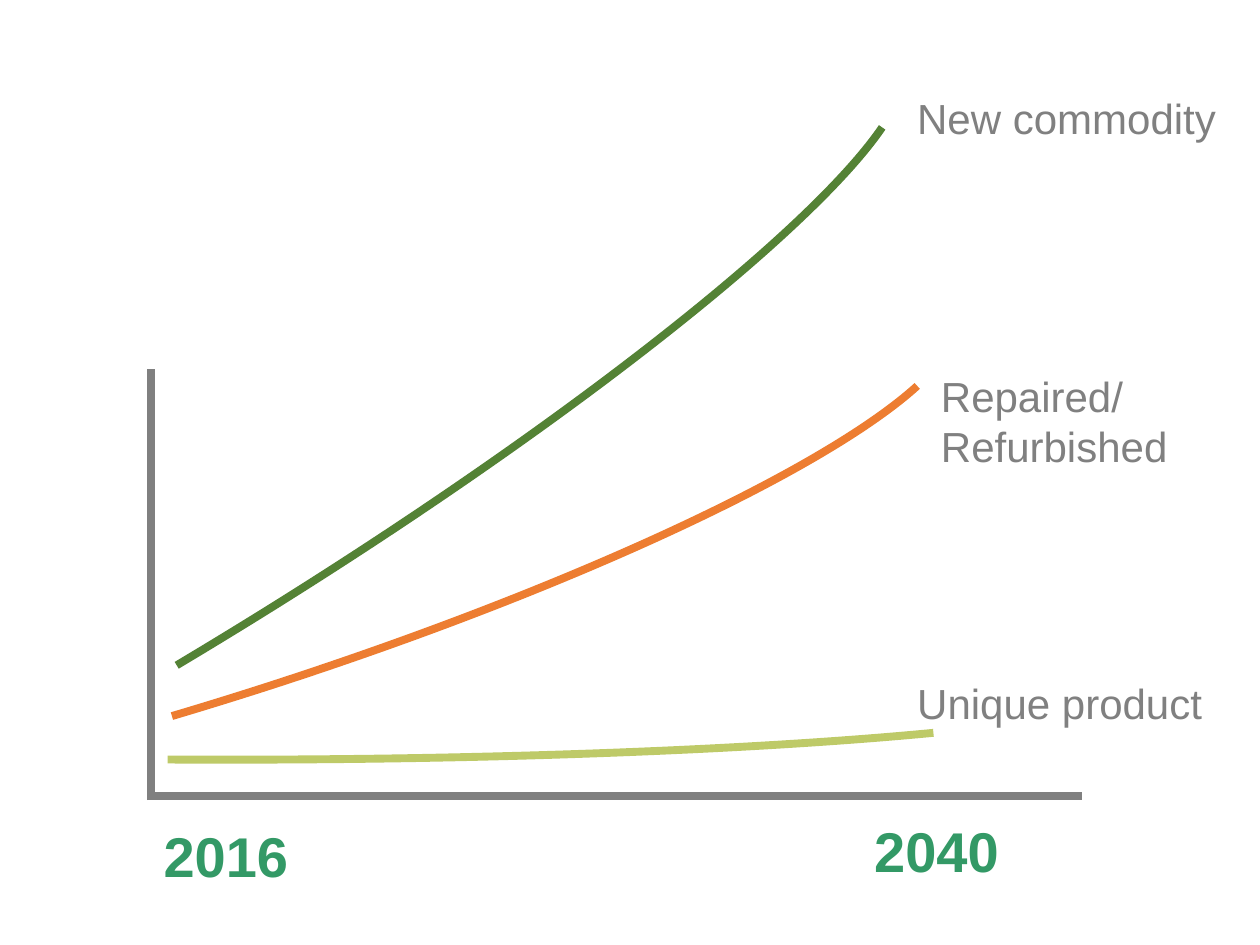
from collections import namedtuple

from pptx import Presentation
from pptx.dml.color import RGBColor
from pptx.enum.shapes import MSO_CONNECTOR as Connector, MSO_SHAPE as Shape
from pptx.enum.text import MSO_AUTO_SIZE as AutoSize
from pptx.oxml.ns import qn
from pptx.util import Pt
from lxml import etree

Box = namedtuple("Box", "left top width height")

GREY = "808080"
LINE_WIDTH = 4.5
CURVES = [
    (Box(-495.4, -111.6, 1077.1, 90.7), 180, 184.25, 306.73, "BECA68"),
    (Box(-393.1, -214.6, 871.9, 155.5), 162.1, 184.01, 306.73, "ED7D31"),
    (Box(-454.3, -239, 953.3, 146.9), 148.2, 183.07, 306.73, "548235"),
]
YEARS = [
    ("2016", Box(0, 10.8, 86.4, 46.1)),
    ("2040", Box(406.1, 7.9, 86.4, 46.1)),
]
SERIES = [
    ("Unique product", Box(430.6, -71.3, 179.3, 36)),
    ("Repaired/\nRefurbished", Box(444.2, -247, 145.4, 65.5)),
    ("New commodity", Box(430.6, -405.4, 187.2, 36)),
]


def color(value):
    return RGBColor.from_string(value)


def points(values):
    return [Pt(value) for value in values]


def from_origin(plot, offset):
    return offset._replace(left=plot.left + offset.left,
                           top=plot.top + plot.height + offset.top)


def style_line(line, value):
    line.color.rgb = color(value)
    line.width = Pt(LINE_WIDTH)


def add_text(page, box, text, size=24, value=GREY, bold=False, font="Arial"):
    frame = page.shapes.add_textbox(*points(box)).text_frame
    frame.word_wrap = False
    frame.auto_size = AutoSize.SHAPE_TO_FIT_TEXT
    frame.text = text
    for para in frame.paragraphs:
        for span in para.runs:
            span.font.name = font
            span.font.size = Pt(size)
            span.font.bold = bold
            span.font.color.rgb = color(value)


def add_axis(page, *ends):
    axis = page.shapes.add_connector(Connector.STRAIGHT, *points(ends))
    style_line(axis.line, GREY)
    etree.SubElement(axis._element.spPr, qn("a:effectLst"))


def add_axes(page, plot):
    bottom = plot.top + plot.height
    add_axis(page, plot.left, bottom, plot.left + plot.width, bottom)
    add_axis(page, plot.left, bottom + LINE_WIDTH / 2, plot.left, plot.top)


def add_curves(page, plot):
    for offset, rotation, start, end, value in CURVES:
        curve = page.shapes.add_shape(Shape.ARC, *points(from_origin(plot, offset)))
        curve.rotation = rotation
        curve.adjustments[0] = start * 0.6
        curve.adjustments[1] = end * 0.6
        curve.shadow.inherit = False
        curve.fill.background()
        style_line(curve.line, value)


def add_labels(page, plot):
    for text, offset in YEARS:
        add_text(page, from_origin(plot, offset), text, size=32, value="339966", bold=True)
    for text, offset in SERIES:
        add_text(page, from_origin(plot, offset), text)


def main():
    deck = Presentation()
    deck.slide_width, deck.slide_height = Pt(720), Pt(540)
    page = deck.slides.add_slide(deck.slide_layouts[6])
    plot = Box(86.4, 211, 532, 244)
    add_axes(page, plot)
    add_curves(page, plot)
    add_labels(page, plot)
    deck.save("out.pptx")


if __name__ == "__main__":
    main()
